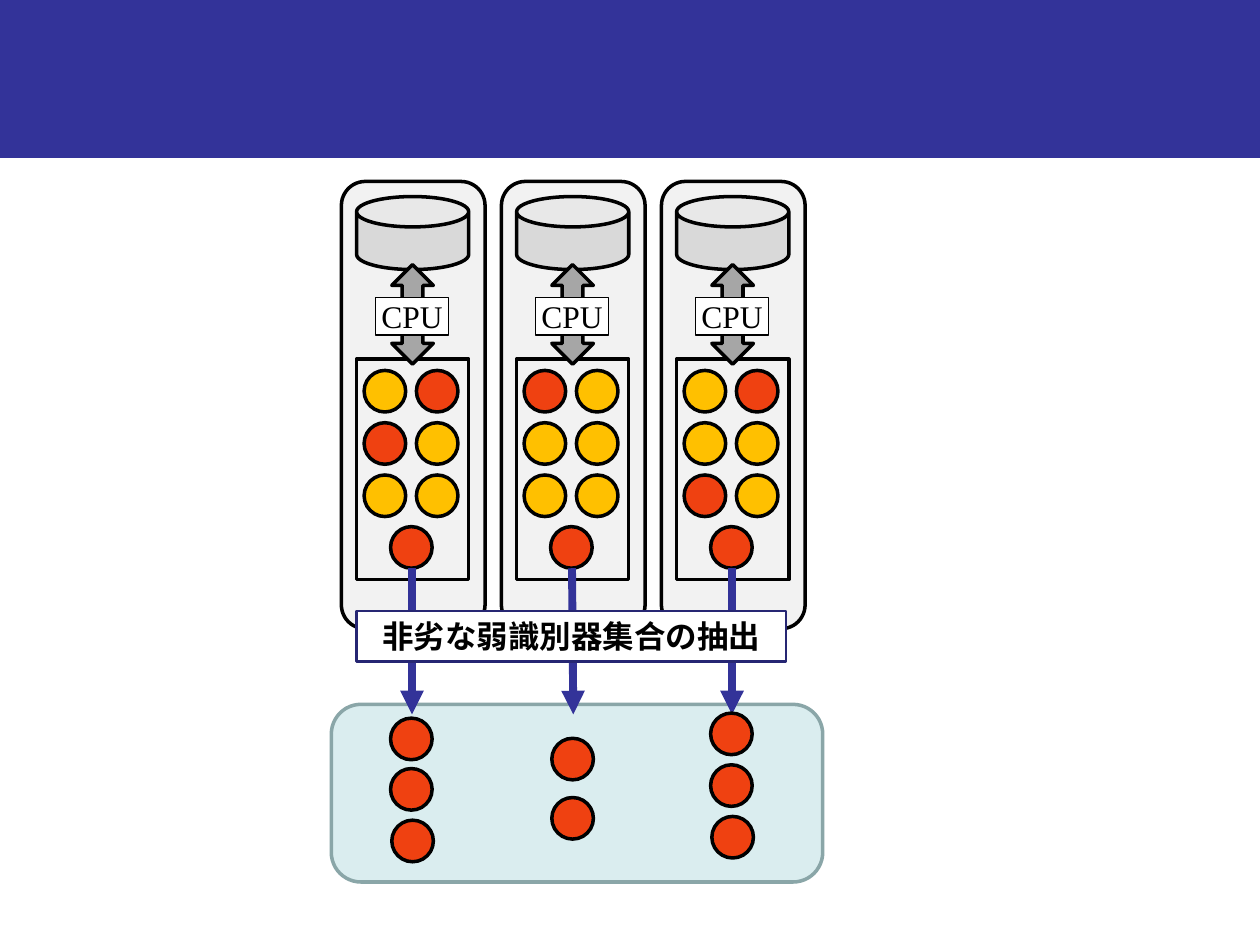
import dataclasses
import typing

import lxml.etree
import pptx
import pptx.dml.color
import pptx.enum.shapes
import pptx.enum.text
import pptx.oxml.ns
import pptx.util

Inches = pptx.util.Inches
SHAPE = pptx.enum.shapes.MSO_SHAPE

COLORS = {
    "band": "333399",
    "banner_edge": "262673",
    "black": "000000",
    "white": "FFFFFF",
    "node": "F2F2F2",
    "disk": "D9D9D9",
    "bus": "A6A6A6",
    "yellow": "FFC000",
    "red": "EF4111",
    "pool": "DAEDEF",
    "pool_edge": "8AA6A8",
}
BALL = 0.33
NODE_LEFT = 2.71
NODE_PITCH = 1.27
MEMORY_TOP = 2.94
BALL_PITCH = 0.415


@dataclasses.dataclass(frozen=True)
class Node:
    memory: tuple[str, ...]
    arrow_end_x: float
    extracted: tuple[tuple[float, float], ...]


@dataclasses.dataclass(frozen=True)
class Part:
    kind: typing.Any
    left: float
    top: float
    width: float
    height: float
    fill: str
    edge: str = "black"
    weight: float = 2


NODES = (
    Node(("YR", "RY", "YY"), 3.27, ((3.1, 5.7), (3.1, 6.1), (3.11, 6.51))),
    Node(("RY", "YY", "YY"), 4.55, ((4.38, 5.86), (4.38, 6.33))),
    Node(("YR", "YY", "RY"), 5.81, ((5.64, 5.66), (5.64, 6.07), (5.65, 6.48))),
)


def rgb(name: str) -> pptx.dml.color.RGBColor:
    return pptx.dml.color.RGBColor.from_string(COLORS[name])


def apply(target: typing.Any, values: dict[str, typing.Any]) -> None:
    for attribute, value in values.items():
        setattr(target, attribute, value)


def draw(shapes: typing.Any, part: Part) -> typing.Any:
    box = (Inches(v) for v in (part.left, part.top, part.width, part.height))
    shape = shapes.add_shape(part.kind, *box)
    shape.shadow.inherit = False
    shape.fill.solid()
    shape.fill.fore_color.rgb = rgb(part.fill)
    shape.line.color.rgb = rgb(part.edge)
    shape.line.width = pptx.util.Pt(part.weight)
    return shape


def draw_ball(shapes: typing.Any, left: float, top: float, color: str) -> None:
    draw(shapes, Part(SHAPE.OVAL, left, top, BALL, BALL, color))


def write(shape: typing.Any, text: str, font: str, bold: bool, inset: float) -> None:
    side, end = Inches(inset), Inches(inset / 2)
    frame = shape.text_frame
    apply(frame, {
        "margin_left": side, "margin_right": side,
        "margin_top": end, "margin_bottom": end,
        "word_wrap": False,
        "vertical_anchor": pptx.enum.text.MSO_ANCHOR.MIDDLE,
    })
    paragraph = frame.paragraphs[0]
    paragraph.alignment = pptx.enum.text.PP_ALIGN.CENTER
    run = paragraph.add_run()
    run.text = text
    apply(run.font, {"name": font, "size": pptx.util.Pt(18), "bold": bold})
    run.font.color.rgb = rgb("black")


def draw_node(shapes: typing.Any, left: float, node: Node) -> None:
    group = shapes.add_group_shape().shapes
    draw(group, Part(SHAPE.ROUNDED_RECTANGLE, left, 1.44, 1.14, 3.55, "node"))
    draw(group, Part(SHAPE.RECTANGLE, left + 0.12, 2.85, 0.89, 1.75, "node"))
    for row, colors in enumerate(node.memory):
        for column, color in enumerate(colors):
            draw_ball(group, left + 0.18 + column * BALL_PITCH,
                      MEMORY_TOP + row * BALL_PITCH,
                      "red" if color == "R" else "yellow")
    disk = draw(group, Part(SHAPE.CAN, left + 0.12, 1.56, 0.89, 0.58, "disk"))
    disk.adjustments[0] = 0.416
    draw(group, Part(SHAPE.UP_DOWN_ARROW, left + 0.4, 2.1, 0.33, 0.79, "bus"))
    cpu = draw(group, Part(SHAPE.RECTANGLE, left + 0.27, 2.36, 0.58, 0.3, "white", weight=0.75))
    write(cpu, "CPU", "Times New Roman", False, 0)
    draw_ball(group, left + 0.39, 4.18, "red")


def draw_extraction(shapes: typing.Any, start_x: float, end_x: float) -> None:
    arrow = shapes.add_connector(
        pptx.enum.shapes.MSO_CONNECTOR.STRAIGHT,
        Inches(start_x), Inches(4.51), Inches(end_x), Inches(5.67))
    arrow.line.color.rgb = rgb("band")
    arrow.line.width = pptx.util.Pt(4.5)
    qn = pptx.oxml.ns.qn
    properties = arrow.element.spPr
    lxml.etree.SubElement(properties.find(qn("a:ln")), qn("a:tailEnd"), type="triangle")
    lxml.etree.SubElement(properties, qn("a:effectLst"))


def main() -> None:
    deck = pptx.Presentation()
    apply(deck, {"slide_width": Inches(10), "slide_height": Inches(7.5)})
    shapes = deck.slides.add_slide(deck.slide_layouts[6]).shapes

    draw(shapes, Part(SHAPE.RECTANGLE, 0, 0, 10, 1.25, "band", "band", 0.75))
    lefts = [NODE_LEFT + index * NODE_PITCH for index in range(len(NODES))]
    for left, node in zip(lefts, NODES):
        draw_node(shapes, left, node)
    draw(shapes, Part(SHAPE.ROUNDED_RECTANGLE, 2.63, 5.59, 3.9, 1.41, "pool", "pool_edge"))
    for left, node in zip(lefts, NODES):
        draw_extraction(shapes, left + 0.56, node.arrow_end_x)
    banner = draw(shapes, Part(SHAPE.RECTANGLE, 2.83, 4.85, 3.41, 0.4,
                               "white", "banner_edge", 1.5))
    write(banner, "非劣な弱識別器集合の抽出", "Arial", True, 0.1)
    for node in NODES:
        for ball_left, ball_top in node.extracted:
            draw_ball(shapes, ball_left, ball_top, "red")

    deck.save("out.pptx")


if __name__ == "__main__":
    main()
